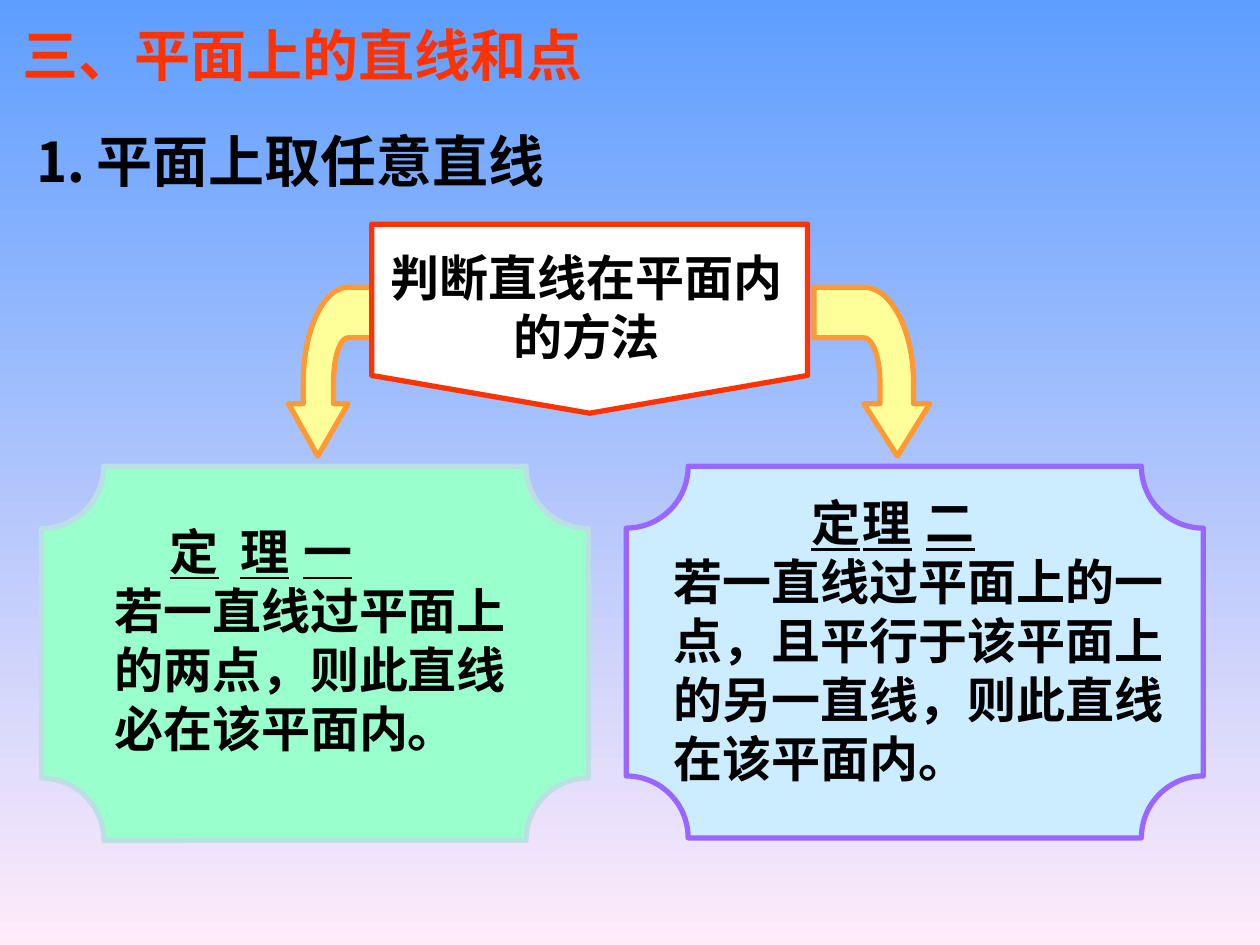
from lxml import etree
from pptx import Presentation
from pptx.dml.color import RGBColor
from pptx.enum.shapes import MSO_SHAPE
from pptx.enum.text import MSO_ANCHOR, MSO_AUTO_SIZE, PP_ALIGN
from pptx.oxml.ns import qn
from pptx.util import Inches, Pt

PLAQUE = MSO_SHAPE.PLAQUE
CALLOUT = MSO_SHAPE.FLOWCHART_OFFPAGE_CONNECTOR
MIDDLE = MSO_ANCHOR.MIDDLE
NO_FIT = MSO_AUTO_SIZE.NONE
LEFT, CENTER = PP_ALIGN.LEFT, PP_ALIGN.CENTER

SKY = RGBColor(0x5E, 0x9E, 0xFF)
PINK = RGBColor(0xFF, 0xEB, 0xFA)
RED = RGBColor(0xFF, 0x33, 0x00)
BLACK = RGBColor(0, 0, 0)
WHITE = RGBColor(0xFF, 0xFF, 0xFF)
YELLOW = RGBColor(0xFF, 0xFF, 0x99)
ORANGE = RGBColor(0xFF, 0x99, 0x33)
MINT = RGBColor(0x99, 0xFF, 0xCC)
GREY_BLUE = RGBColor(0xBB, 0xE0, 0xE3)
PALE_BLUE = RGBColor(0xCC, 0xEC, 0xFF)
PURPLE = RGBColor(0x99, 0x66, 0xFF)
FONT = "Times New Roman"


def set_background(s):
    fill = s.background.fill
    fill.gradient()
    fill.gradient_angle = 270
    for stop, color in zip(fill.gradient_stops, (SKY, PINK)):
        stop.color.rgb = color


def set_tabs(p, stops, indent=0):
    pPr = p._p.get_or_add_pPr()
    pPr.set("marL", "0")
    pPr.set("indent", str(Inches(indent)))
    tabs = etree.SubElement(pPr, qn("a:tabLst"))
    for stop in stops:
        etree.SubElement(tabs, qn("a:tab"), pos=str(Inches(stop)), algn="l")


def format_text(p, size, color=BLACK, align=LEFT, underline=False):
    p.alignment = align
    for r in p.runs:
        r.font.name = FONT
        r.font.size = Pt(size)
        r.font.bold = True
        r.font.underline = underline
        r.font.color.rgb = color


def prepare_frame(shape):
    tf = shape.text_frame
    tf.word_wrap = True
    tf.auto_size = NO_FIT
    tf.vertical_anchor = MIDDLE
    return tf


def add_text(s, box, text):
    tf = prepare_frame(s.shapes.add_textbox(*map(Inches, box)))
    tf.text = text
    return tf


def paint(shape, fill, line):
    shape.shadow.inherit = False
    shape.fill.solid()
    shape.fill.fore_color.rgb = fill
    shape.line.color.rgb = line
    shape.line.width = Pt(3)


def add_panel(s, kind, box, fill, line):
    shape = s.shapes.add_shape(kind, *map(Inches, box))
    paint(shape, fill, line)
    return shape


def curve(p0, p1, p2, p3, steps=16):
    """Points of a cubic Bezier after its start."""
    points = []
    for i in range(1, steps + 1):
        t = i / steps
        u = 1 - t
        points.append(tuple(
            u**3 * a + 3 * u * u * t * b + 3 * u * t * t * c + t**3 * d
            for a, b, c, d in zip(p0, p1, p2, p3)))
    return points


def add_bent_arrow(s, x, y, width, height):
    """Arrow from (x, y) bending down; a negative width bends left."""
    outline = [(0, 0), (0.43, 0)]
    outline += curve((0.43, 0), (0.67, 0), (0.86, 0.26), (0.86, 0.57))
    outline += [(0.86, 0.69), (1, 0.69), (0.72, 1), (0.43, 0.69),
                (0.57, 0.69), (0.57, 0.57)]
    outline += curve((0.57, 0.57), (0.57, 0.42), (0.51, 0.3), (0.43, 0.3))
    outline.append((0, 0.3))
    points = [(Inches(x + px * width), Inches(y + py * height))
              for px, py in outline]
    builder = s.shapes.build_freeform(*points[0])
    builder.add_line_segments(points[1:], close=True)
    paint(builder.convert_to_shape(), YELLOW, ORANGE)


def add_theorem(s, panel, fill, line, box, heading, indent, statement):
    add_panel(s, PLAQUE, panel, fill, line)
    tf = add_text(s, box, heading)
    p = tf.paragraphs[0]
    set_tabs(p, (indent + 0.83, indent + 1.57), indent)
    format_text(p, 28, underline=True)
    p = tf.add_paragraph()
    p.text = statement
    format_text(p, 28)


def main():
    prs = Presentation()
    prs.slide_width, prs.slide_height = Inches(10), Inches(7.5)
    s = prs.slides.add_slide(prs.slide_layouts[5])
    set_background(s)

    # Title and section heading
    title = s.shapes.title
    title.left, title.top = Inches(0.08), Inches(0.11)
    title.width, title.height = Inches(6.08), Inches(0.64)
    tf = prepare_frame(title)
    tf.text = "三、平面上的直线和点"
    format_text(tf.paragraphs[0], 32, RED)

    tf = add_text(s, (0.17, 0.95, 5.67, 0.64), "⒈\t平面上取任意直线")
    set_tabs(tf.paragraphs[0], (0.75,))
    format_text(tf.paragraphs[0], 32)

    # Arrows from the method to both theorems
    add_bent_arrow(s, 6.46, 2.28, 0.92, 1.34)
    add_bent_arrow(s, 3.12, 2.28, -0.83, 1.34)

    # Method
    add_panel(s, CALLOUT, (2.95, 1.78, 3.46, 1.5), WHITE, RED)
    tf = add_text(s, (2.97, 1.91, 3.37, 1.04), "判断直线在平面内的方法")
    format_text(tf.paragraphs[0], 28, align=CENTER)

    # Theorems
    add_theorem(s, (0.33, 3.7, 4.34, 2.97), MINT, GREY_BLUE,
                (0.81, 4.09, 3.67, 1.97), "定\t理\t一", 0.44,
                "若一直线过平面上的两点，则此直线必在该平面内。")
    add_theorem(s, (4.97, 3.7, 4.58, 2.95), PALE_BLUE, PURPLE,
                (5.25, 3.86, 4.32, 2.44), "定\t理\t二", 1.09,
                "若一直线过平面上的一点，且平行于该平面上的另一直线，则此直线在该平面内。")

    prs.save("out.pptx")


if __name__ == "__main__":
    main()
